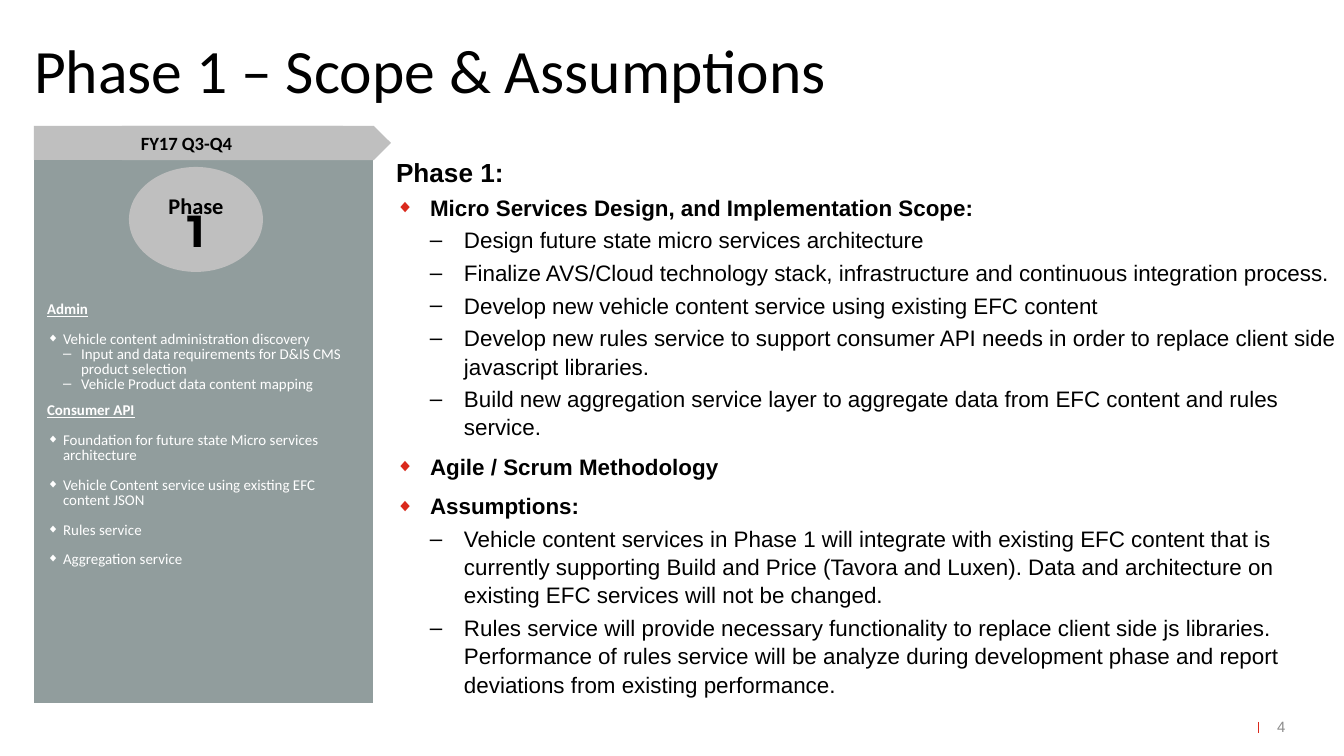
from lxml import etree
from pptx import Presentation
from pptx import util as u
from pptx.dml.color import RGBColor
from pptx.enum import shapes as kinds, text as styles
from pptx.oxml.ns import qn

SCALE = 914400 / 134.4
COLORS = {"black": "000000", "white": "FFFFFF", "panel": "919D9D",
          "band": "BFBFBF", "accent": "DA291C", "number": "8C8C8C"}

SIDEBAR = [
    ("heading", "Admin"),
    ("first", "Vehicle content administration discovery"),
    ("dash", "Input and data requirements for D&IS CMS product selection"),
    ("dash", "Vehicle Product data content mapping"),
    ("next_heading", "Consumer API"),
    ("first", "Foundation for future state Micro services architecture"),
    ("first", "Vehicle Content service using existing EFC content JSON"),
    ("first", "Rules service"),
    ("first", "Aggregation service"),
]
SIDEBAR_STYLES = {
    "heading": dict(bold=True, underline=True),
    "next_heading": dict(bold=True, underline=True, before=6),
    "first": dict(before=8, bullet="◆", margin=16, hanging=16, bullet_size=80),
    "dash": dict(bullet="–", margin=34, hanging=18),
}

SCOPE = [
    ("title", "Phase 1:"),
    ("topic", "Micro Services Design, and Implementation Scope:"),
    ("detail", "Design future state micro services architecture"),
    ("detail", "Finalize AVS/Cloud technology stack, infrastructure and "
               "continuous integration process."),
    ("detail", "Develop new vehicle content service using existing EFC content"),
    ("detail", "Develop new rules service to support consumer API needs in order "
               "to replace client side javascript libraries."),
    ("detail", "Build new aggregation service layer to aggregate data from EFC "
               "content and rules service."),
    ("later_topic", "Agile / Scrum Methodology"),
    ("later_topic", "Assumptions:"),
    ("detail", "Vehicle content services in Phase 1 will integrate with existing "
               "EFC content that is currently supporting Build and Price (Tavora "
               "and Luxen). Data and architecture on existing EFC services will "
               "not be changed."),
    ("detail", "Rules service will provide necessary functionality to replace "
               "client side js libraries. Performance of rules service will be "
               "analyze during development phase and report deviations from "
               "existing performance."),
]
TOPIC = dict(size=12, bold=True, bullet="◆", bullet_color="accent",
             bullet_size=80, margin=34, hanging=34)
SCOPE_STYLES = {
    "title": dict(size=14, bold=True, before=2.8),
    "topic": dict(TOPIC, before=2.4),
    "later_topic": dict(TOPIC, before=6),
    "detail": dict(size=12, before=2.4, bullet="–", margin=68, hanging=34),
}


def px(value):
    """Turn pixels into EMU."""
    return u.Emu(round(value * SCALE))


def color(name):
    """Look up a colour by name."""
    return RGBColor.from_string(COLORS[name])


def add_bullet(paragraph, mark, margin, hanging, tint=None, size=None):
    """Give a paragraph a bullet and a hanging indent."""
    properties = paragraph._p.get_or_add_pPr()
    properties.set("marL", str(px(margin)))
    properties.set("indent", str(-px(hanging)))
    if tint:
        holder = etree.SubElement(properties, qn("a:buClr"))
        etree.SubElement(holder, qn("a:srgbClr"), val=COLORS[tint])
    if size:
        etree.SubElement(properties, qn("a:buSzPct"), val=str(size * 1000))
    etree.SubElement(properties, qn("a:buFont"), typeface="Arial")
    etree.SubElement(properties, qn("a:buChar"), char=mark)


def write(paragraph, text, size=12, font="Calibri", tint="black", bold=False,
          underline=False, align="LEFT", before=0, spacing=None, bullet=None,
          margin=0, hanging=0, bullet_color=None, bullet_size=None):
    """Fill a paragraph with one formatted run."""
    paragraph.alignment = getattr(styles.PP_ALIGN, align)
    paragraph.space_before = u.Pt(before)
    if spacing:
        paragraph.line_spacing = spacing
    if bullet:
        add_bullet(paragraph, bullet, margin, hanging, bullet_color, bullet_size)
    run = paragraph.add_run()
    run.text = text
    run.font.name = font
    run.font.size = u.Pt(size)
    run.font.bold = bold
    run.font.underline = underline
    run.font.color.rgb = color(tint)


def set_frame(frame, anchor="TOP", inset=(0, 0)):
    """Set wrapping, anchor and insets of a text frame."""
    frame.word_wrap = True
    frame.auto_size = styles.MSO_AUTO_SIZE.NONE
    frame.vertical_anchor = getattr(styles.MSO_ANCHOR, anchor)
    frame.margin_left = frame.margin_right = px(inset[0])
    frame.margin_top = frame.margin_bottom = px(inset[1])


def add_text(slide, box, lines, anchor="TOP", inset=(0, 0), **common):
    """Add a text box; lines are pairs of text and format."""
    frame = slide.shapes.add_textbox(*map(px, box)).text_frame
    set_frame(frame, anchor, inset)
    for index, (text, options) in enumerate(lines):
        paragraph = frame.add_paragraph() if index else frame.paragraphs[0]
        write(paragraph, text, **{**common, **options})


def add_block(slide, kind, box, fill):
    """Add a plain filled shape without outline."""
    shape = slide.shapes.add_shape(kind, *map(px, box))
    shape.shadow.inherit = False
    shape.fill.solid()
    shape.fill.fore_color.rgb = color(fill)
    shape.line.fill.background()


def set_title(slide, box, text):
    """Place and fill the title placeholder."""
    title = slide.shapes.title
    title.left, title.top, title.width, title.height = map(px, box)
    set_frame(title.text_frame, "BOTTOM")
    write(title.text_frame.paragraphs[0], text, size=33, spacing=0.9)


def add_phase_panel(slide, box):
    """Draw the phase column: panel, badge, list and arrow band."""
    left, top, width, height = box
    band = 34
    shape = kinds.MSO_SHAPE
    add_block(slide, shape.RECTANGLE,
              (left, top + band, width, height - band), "panel")
    badge = (left + 95, top + 41, 134, 105)
    add_block(slide, shape.OVAL, badge, "band")
    add_text(slide, (left, top + 164, width, 341),
             [(text, SIDEBAR_STYLES[style]) for style, text in SIDEBAR],
             inset=(13, 13), size=8, tint="white", spacing=u.Pt(8))
    label = (left, top, width - 30, band)
    add_block(slide, shape.RECTANGLE, label, "band")
    add_block(slide, shape.CHEVRON, (left + 88, top, width - 70, band), "band")
    add_text(slide, label, [("FY17 Q3-Q4 ", {})], anchor="MIDDLE",
             inset=(13, 7), size=10, bold=True, align="CENTER")
    add_text(slide, badge,
             [("Phase", {}), ("1", dict(size=24, font="Montserrat"))],
             anchor="MIDDLE", bold=True, align="CENTER", spacing=u.Pt(20))


def add_scope(slide, box):
    """Write the scope and assumptions list."""
    add_text(slide, box,
             [(text, SCOPE_STYLES[style]) for style, text in SCOPE],
             font="Arial", spacing=1.05)


def add_page_number(slide, box, number):
    """Draw the short rule and the page number."""
    left, top, width, height = box
    rule = slide.shapes.add_connector(
        kinds.MSO_CONNECTOR.STRAIGHT,
        *map(px, (left, top + 12, left, top + 23)))
    rule.line.color.rgb = color("accent")
    rule.line.width = u.Pt(0.5)
    etree.SubElement(rule._element.spPr, qn("a:effectLst"))
    add_text(slide, (left + 18, top, width - 18, height), [(number, {})],
             anchor="MIDDLE", size=8, font="Arial", tint="number")


def main():
    """Build and save the slide."""
    presentation = Presentation()
    presentation.slide_width, presentation.slide_height = px(1344), px(756)
    slide = presentation.slides.add_slide(presentation.slide_layouts[5])
    set_title(slide, (34, 40, 953, 67), "Phase 1 – Scope & Assumptions")
    add_phase_panel(slide, (34, 126, 339, 577))
    add_scope(slide, (396, 155, 942, 577))
    add_page_number(slide, (1259, 710, 52, 34), "4")
    presentation.save("out.pptx")


main()
